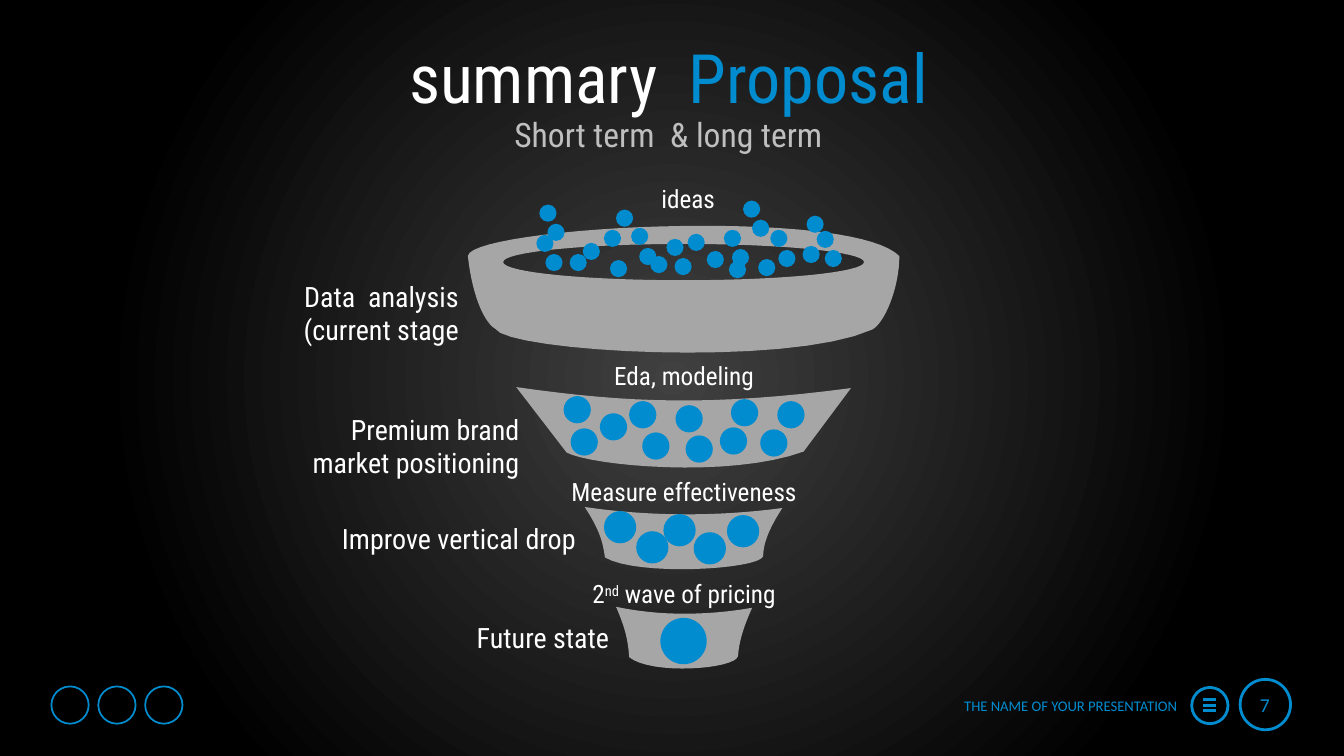
from lxml import etree
from pptx import Presentation
from pptx import util as u
from pptx.dml.color import RGBColor
from pptx.enum import shapes, text
from pptx.oxml.ns import qn

BLUE, GREY, WHITE = "018CCF", "A6A6A6", "FFFFFF"
FONT = "Roboto Condensed"
ALIGN = {"c": text.PP_ALIGN.CENTER, "r": text.PP_ALIGN.RIGHT}
CURVE_STEPS = 16

# Funnel stages: contours start with a point, then lines (2 numbers) or curves (6)
BOWL = [
    [(6.78, 2.42), (5.79, 2.42, 4.99, 2.5, 4.99, 2.6), (4.99, 2.7, 5.79, 2.78, 6.78, 2.78),
     (7.77, 2.78, 8.57, 2.7, 8.57, 2.6), (8.57, 2.5, 7.77, 2.42, 6.78, 2.42)],
    [(6.97, 2.24), (7.85, 2.24, 8.7, 2.32, 8.92, 2.54), (8.92, 2.86, 8.77, 3.21, 8.65, 3.27),
     (7.81, 3.65, 5.02, 3.49, 4.91, 3.26), (4.82, 3.21, 4.69, 2.98, 4.64, 2.54),
     (4.65, 2.38, 5.84, 2.24, 6.97, 2.24)],
]
MODELING = [[(5.12, 3.84), (6.23, 4, 7.08, 4.03, 8.44, 3.85), (7.97, 4.48),
             (7.23, 4.75, 5.87, 4.62, 5.62, 4.49), (5.12, 3.84)]]
MEASURE = [[(5.8, 5.03), (6.41, 5.12, 7.09, 5.13, 7.76, 5.04), (7.63, 5.24, 7.57, 5.39, 7.57, 5.52),
            (7.52, 5.65, 6.32, 5.72, 6, 5.53), (5.98, 5.38, 5.95, 5.26, 5.8, 5.03)]]
PRICING = [[(6.11, 6.02), (6.53, 6.11, 7, 6.11, 7.46, 6.03), (7.37, 6.23, 7.33, 6.37, 7.32, 6.51),
            (7.29, 6.64, 6.46, 6.7, 6.24, 6.52), (6.23, 6.37, 6.21, 6.25, 6.11, 6.02)]]

# Each stage: outline, ball diameter, top-left corners of its balls
STAGES = [
    (PRICING, 0.46, [(6.55, 6.13)]),
    (MEASURE, 0.32, [(7.21, 5.11), (6.31, 5.27), (5.99, 5.07), (6.58, 5.1), (6.88, 5.28)]),
    (MODELING, 0.27, [
        (7.71, 3.98), (7.14, 4.24), (6.8, 4.32), (5.59, 3.93), (5.95, 4.1), (6.24, 3.98),
        (6.7, 4.02), (5.66, 4.25), (7.25, 3.96), (6.37, 4.29), (7.54, 4.26)]),
    (BOWL, 0.17, [
        (5.78, 2.41), (6.11, 2.08), (6.34, 2.46), (6.82, 2.32), (7.26, 2.47), (7.72, 2.48),
        (8.18, 2.48), (6.69, 2.56), (5.43, 2.22), (7.46, 2.18), (8, 2.14), (7.52, 2.57),
        (5.41, 2.52), (7.23, 2.59), (5.99, 2.28), (5.65, 2.52), (6.26, 2.26), (7.96, 2.44),
        (7.18, 2.28), (7.64, 2.28), (8.1, 2.29), (6.61, 2.37), (5.35, 2.03), (7.37, 1.99),
        (6.45, 2.54), (6.05, 2.58), (5.32, 2.33), (7.01, 2.49)]),
]

# Labels to the left of the funnel: position, height, paragraphs
SIDE_LABELS = [
    (1.98, 2.72, 0.77, ["Data  analysis", "(current stage"]),
    (2.58, 4.04, 0.77, ["Premium brand market positioning"]),
    (3.14, 5.12, 0.44, ["Improve vertical drop"]),
    (3.47, 6.11, 0.44, ["Future state"]),
]


def rgb(hex_color):
    return RGBColor.from_string(hex_color)


def add_text(slide, box, paragraphs, size, color=WHITE, font=FONT, align="c",
             middle=False, wrap=True):
    """Each paragraph is a string or a list of (text, overrides) runs."""
    frame = slide.shapes.add_textbox(*map(u.Inches, box)).text_frame
    frame.word_wrap = wrap
    if middle:
        frame.vertical_anchor = text.MSO_ANCHOR.MIDDLE
    for index, content in enumerate(paragraphs):
        paragraph = frame.add_paragraph() if index else frame.paragraphs[0]
        paragraph.alignment = ALIGN[align]
        for words, style in [(content, {})] if isinstance(content, str) else content:
            run = paragraph.add_run()
            run.text = words
            run.font.size = u.Pt(size)
            run.font.name = font
            run.font.color.rgb = rgb(style.get("color", color))
            if "raised" in style:
                run.font._element.set("baseline", str(style["raised"] * 1000))


def add_circle(slide, left, top, diameter, fill=None, line_width=None):
    circle = slide.shapes.add_shape(shapes.MSO_SHAPE.OVAL, u.Inches(left), u.Inches(top),
                                    u.Inches(diameter), u.Inches(diameter))
    circle.shadow.inherit = False
    if fill:
        circle.fill.solid()
        circle.fill.fore_color.rgb = rgb(fill)
    else:
        circle.fill.background()
    if line_width:
        circle.line.color.rgb = rgb(BLUE)
        circle.line.width = u.Pt(line_width)
    else:
        circle.line.fill.background()


def curve_points(start, curve):
    """Points along a cubic curve, after its start."""
    knots = [start, curve[:2], curve[2:4], curve[4:]]
    for step in range(1, CURVE_STEPS + 1):
        t = step / CURVE_STEPS
        weights = ((1 - t) ** 3, 3 * t * (1 - t) ** 2, 3 * t * t * (1 - t), t ** 3)
        yield tuple(sum(w * knot[axis] for w, knot in zip(weights, knots)) for axis in (0, 1))


def contour_points(contour):
    points = [contour[0]]
    for segment in contour[1:]:
        points += [segment] if len(segment) == 2 else list(curve_points(points[-1], segment))
    return [(u.Inches(x), u.Inches(y)) for x, y in points]


def add_outline(slide, contours, fill):
    outlines = [contour_points(contour) for contour in contours]
    builder = slide.shapes.build_freeform(*outlines[0][0])
    for index, points in enumerate(outlines):
        if index:
            builder.move_to(*points[0])
        builder.add_line_segments(points[1:], close=True)
    stage = builder.convert_to_shape()
    stage.shadow.inherit = False
    stage.fill.solid()
    stage.fill.fore_color.rgb = rgb(fill)
    stage.line.fill.background()


def add_line(slide, x1, y1, x2, y2, width):
    line = slide.shapes.add_connector(shapes.MSO_CONNECTOR.STRAIGHT,
                                      *map(u.Inches, (x1, y1, x2, y2)))
    line.line.color.rgb = rgb(BLUE)
    line.line.width = u.Pt(width)
    etree.SubElement(line._element.spPr, qn("a:effectLst"))


def set_background(slide):
    fill = slide.background.fill
    fill.gradient()
    for stop, (position, color) in zip(fill.gradient_stops, [(0, "404040"), (0.74, "000000")]):
        stop.position = position
        stop.color.rgb = rgb(color)
    # Radial gradient from the centre
    gradient = slide._element.find(".//" + qn("a:gradFill"))
    gradient.remove(gradient.find(qn("a:lin")))
    radial = etree.SubElement(gradient, qn("a:path"), path="circle")
    etree.SubElement(radial, qn("a:fillToRect"), l="50000", t="50000", r="50000", b="50000")


def add_footer(slide):
    add_text(slide, (9.43, 6.86, 2.38, 0.28), ["THE NAME OF YOUR PRESENTATION"], 10.5,
             BLUE, "Calibri", wrap=False)
    # Page number
    add_circle(slide, 12.3, 6.74, 0.5, line_width=2)
    add_text(slide, (12.28, 6.83, 0.53, 0.34), ["7"], 14, BLUE, "Calibri")
    # Menu button
    for y in (6.94, 7, 7.05):
        add_line(slide, 11.93, y, 12.06, y, 2)
    add_circle(slide, 11.82, 6.82, 0.36, line_width=2)
    # Plain rings for the social links
    for column in range(3):
        add_circle(slide, 0.51 + 0.465 * column, 6.81, 0.37, line_width=1.25)


def main():
    prs = Presentation()
    prs.slide_width, prs.slide_height = u.Inches(13.33), u.Inches(7.5)
    slide = prs.slides.add_slide(prs.slide_layouts[6])
    set_background(slide)
    add_footer(slide)

    # Headings
    add_text(slide, (0.52, 0.42, 12.22, 0.67),
             [[("summary  ", {}), ("Proposal", {"color": BLUE})]], 48.6, middle=True)
    add_text(slide, (4.17, 1.08, 4.92, 0.42), ["Short term  & long term"], 24, "BFBFBF")

    # Funnel
    for contours, diameter, balls in STAGES:
        add_outline(slide, contours, GREY)
        for left, top in balls:
            add_circle(slide, left, top, diameter, fill=BLUE)

    # Labels above each stage
    pricing = [("2", {}), ("nd", {"raised": 30}), (" wave of pricing", {})]
    for top, label in [(1.77, "ideas"), (3.53, "Eda, modeling"),
                       (4.68, "Measure effectiveness"), (5.69, pricing)]:
        left = 5.49 if label == "ideas" else 5.45
        add_text(slide, (left, top, 2.67, 0.4), [label], 18)

    # Labels beside each stage
    for left, top, height, paragraphs in SIDE_LABELS:
        add_text(slide, (left, top, 2.67, height), paragraphs, 20, align="r")

    prs.save("out.pptx")


if __name__ == "__main__":
    main()
